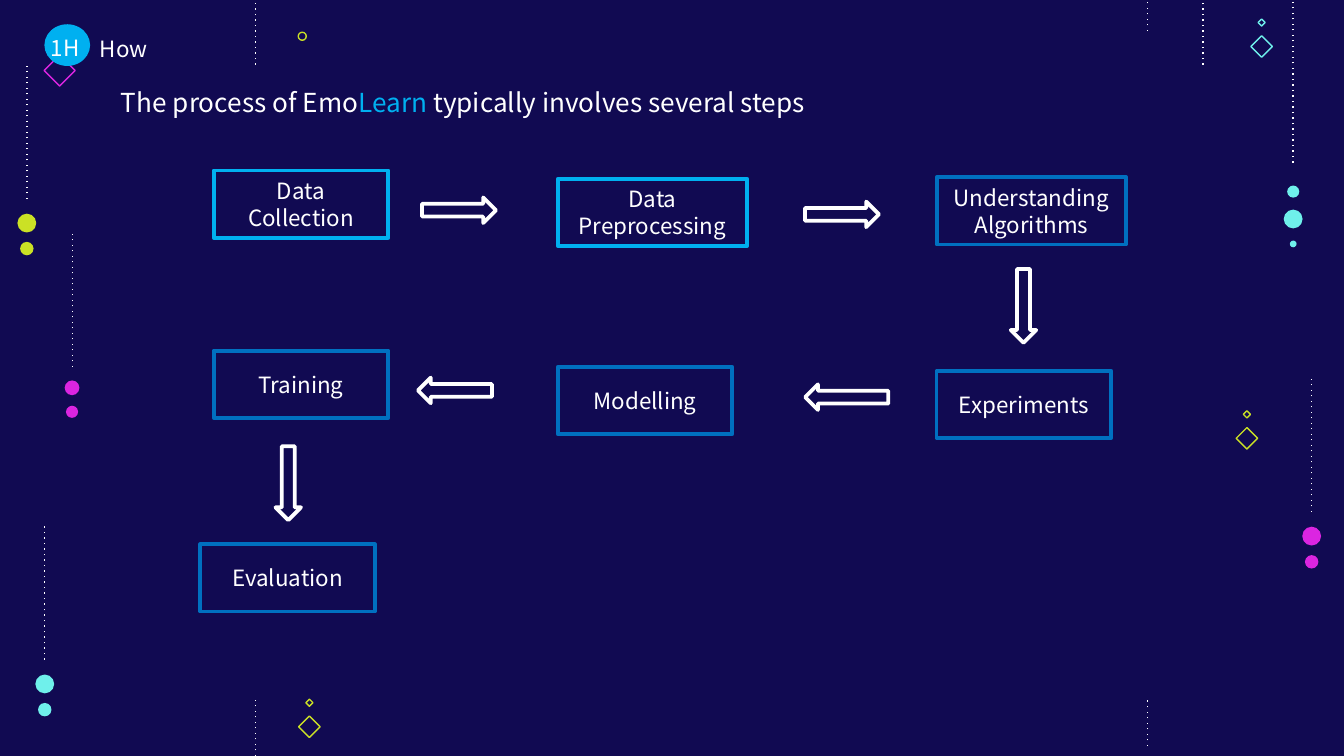
"""Build the slide showing the EmoLearn process steps."""
from lxml import etree
from pptx import Presentation
from pptx.dml.color import RGBColor
from pptx.enum import shapes as kinds, text as styles
from pptx.oxml import ns
from pptx.util import Pt

COLORS = {"navy": "110A52", "white": "FFFFFF", "sky": "00B0F0", "blue": "0070C0",
          "magenta": "DB25E1", "lime": "CBE125", "aqua": "6FF0EB"}
FONT = "Noto Sans CJK JP"
KIND = kinds.MSO_SHAPE
CENTER = styles.PP_ALIGN.CENTER
MIDDLE, TOP = styles.MSO_ANCHOR.MIDDLE, styles.MSO_ANCHOR.TOP

deck = Presentation()
deck.slide_width, deck.slide_height = Pt(720), Pt(405)
slide = deck.slides.add_slide(deck.slide_layouts[5])
slide.background.fill.solid()
slide.background.fill.fore_color.rgb = RGBColor.from_string(COLORS["navy"])


def draw(kind, left, top, width, height, color, weight=0):
    """Draw an outline of the given weight, or a solid shape when it is zero."""
    figure = slide.shapes.add_shape(kind, Pt(left), Pt(top), Pt(width), Pt(height))
    figure.shadow.inherit = False
    if weight:
        figure.fill.background()
        figure.line.width = Pt(weight)
        figure.line.color.rgb = RGBColor.from_string(COLORS[color])
        etree.SubElement(figure.line._get_or_add_ln(), ns.qn("a:round"))
    else:
        figure.fill.solid()
        figure.fill.fore_color.rgb = RGBColor.from_string(COLORS[color])
        figure.line.fill.background()
    return figure


def write(frame, runs, size, align, anchor, inset):
    """Fill a text frame with (wording, colour) runs."""
    frame.word_wrap = True
    frame.auto_size = styles.MSO_AUTO_SIZE.NONE
    frame.vertical_anchor = anchor
    frame.margin_left = frame.margin_right = Pt(7.2)
    frame.margin_top = frame.margin_bottom = Pt(inset)
    frame.paragraphs[0].alignment = align
    for wording, color in runs:
        run = frame.paragraphs[0].add_run()
        run.text = wording
        run.font.size = Pt(size)
        run.font.name = FONT
        run.font.color.rgb = RGBColor.from_string(COLORS[color])


dotted_lines = [(38.7, 196.6, 124.6), (14.4, 106.6, 34.6), (692.6, 87.1, 0),
                (702.7, 274.3, 202.3), (644.4, 34.6, 0), (136.8, 34.6, 0),
                (614.9, 16.6, 0), (136.8, 405, 375.1), (614.9, 399.6, 374.4),
                (23.8, 353.5, 281.5)]
for x, start, end in dotted_lines:
    trail = slide.shapes.add_connector(kinds.MSO_CONNECTOR.STRAIGHT,
                                       Pt(x), Pt(start), Pt(x), Pt(end))
    trail.line.width = Pt(0.75)
    trail.line.color.rgb = RGBColor.from_string(COLORS["white"])
    etree.SubElement(trail.line._get_or_add_ln(), ns.qn("a:prstDash"), val="dot")
    etree.SubElement(trail._element.spPr, ns.qn("a:effectLst"))

dots = [("magenta", 38.6, [(203.8, 7.9), (217.4, 6.5)]),
        ("lime", 14.4, [(114.5, 10.1), (129.6, 7.2)]),
        ("aqua", 692.8, [(99.4, 6.5), (112.3, 10.1), (128.9, 3.6)]),
        ("magenta", 702.7, [(282.2, 10.1), (297.4, 7.2)]),
        ("aqua", 24, [(361.4, 10.1), (376.6, 7.2)])]
for color, center, column in dots:
    for top, size in column:
        draw(KIND.OVAL, center - size / 2, top, size, size, color)

for color, center, top in [("lime", 668, 220.1), ("aqua", 675.9, 10.2), ("lime", 165.8, 374.6)]:
    for drop, size in [(0, 3.8), (9, 11.5)]:
        draw(KIND.DIAMOND, center - size / 2, top + drop, size, size, color, 0.75)
draw(KIND.DIAMOND, 23.7, 29.5, 16.6, 16.6, "magenta", 0.75)
draw(KIND.OVAL, 159.8, 17.3, 4.3, 4.3, "lime", 0.75)

title = slide.shapes.title
title.left, title.top, title.width, title.height = Pt(57.6), Pt(38.9), Pt(467.3), Pt(30.2)
write(title.text_frame,
      [("The process of Emo", "white"), ("Learn", "sky"),
       (" typically involves several steps", "white")],
      14, styles.PP_ALIGN.LEFT, TOP, 7.2)

draw(KIND.OVAL, 23.8, 13, 24.5, 22.3, "sky")
for wording, left, top, width, height, anchor in [
        ("How", 42.5, 11.5, 47.5, 28.8, TOP), ("1H", 11.5, 15.1, 46.8, 20.2, MIDDLE)]:
    label = slide.shapes.add_textbox(Pt(left), Pt(top), Pt(width), Pt(height))
    write(label.text_frame, [(wording, "white")], 12, CENTER, anchor, 7.2)

steps = [("Data Collection", 114.5, 91.4, 93.6, "sky"),
         ("Data Preprocessing", 298.8, 95.8, 101.5, "sky"),
         ("Understanding Algorithms", 501.8, 95, 101.5, "blue"),
         ("Experiments", 501.8, 198.7, 93.6, "blue"),
         ("Modelling", 298.8, 196.6, 93.6, "blue"),
         ("Training", 114.5, 187.9, 93.6, "blue"),
         ("Evaluation", 107.3, 291.6, 93.6, "blue")]
for name, left, top, width, color in steps:
    step = draw(KIND.RECTANGLE, left, top, width, 36, color, 2)
    write(step.text_frame, [(name, "white")], 12, CENTER, MIDDLE, 3.6)

arrows = [(226.1, 105.8, 39.6, 0), (431.3, 108, 39.6, 0), (528.5, 157, 39.6, 90),
          (431.3, 205.9, 44.6, 180), (223.9, 202.3, 39.6, 180), (134.6, 252, 39.6, 90)]
for left, top, length, turn in arrows:
    draw(KIND.RIGHT_ARROW, left, top, length, 13.7, "white", 2).rotation = turn

deck.save("out.pptx")
